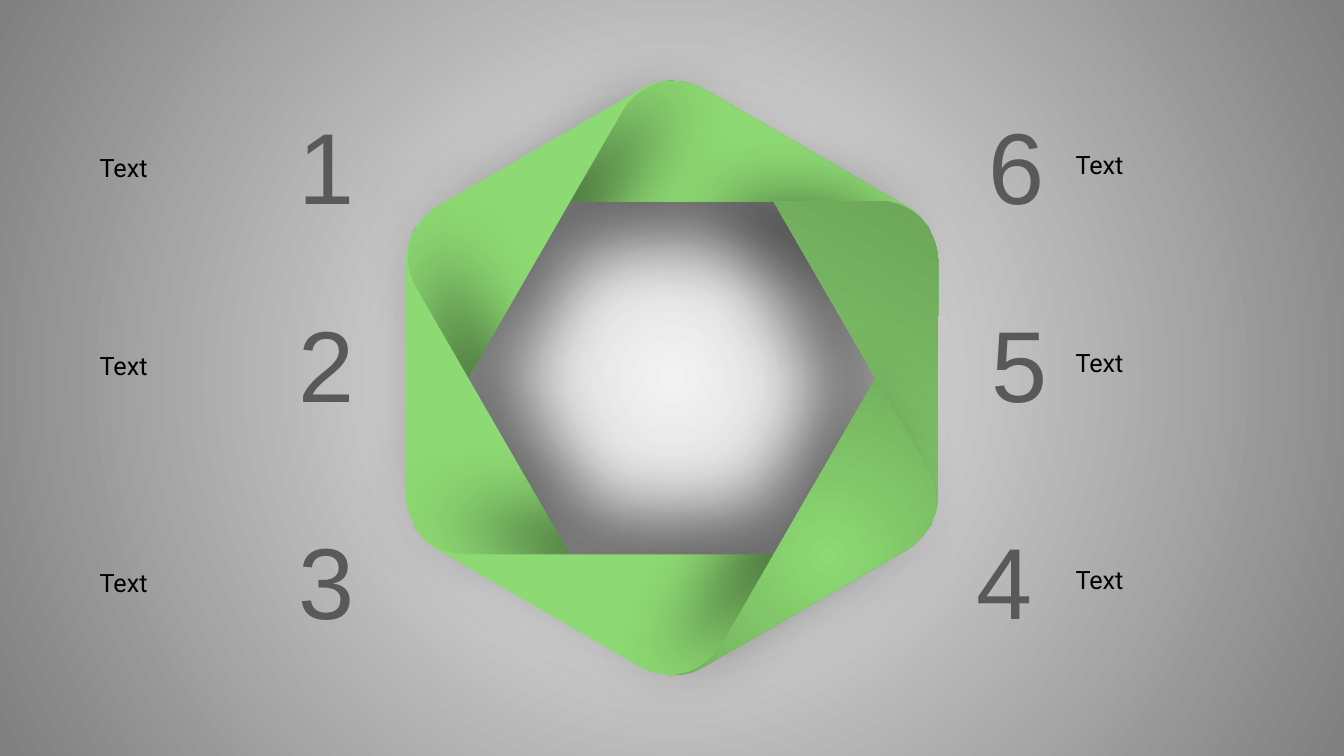
from math import cos, sin, radians

from lxml import etree
from pptx import Presentation
from pptx.dml.color import RGBColor as RGB
from pptx.enum.text import MSO_AUTO_SIZE as Fit
from pptx.oxml.ns import qn
from pptx.util import Inches, Pt

LIME = RGB(0x8D, 0xD9, 0x73)
MOSS = RGB(0x71, 0xAE, 0x5C)
LEAF = RGB(0x8C, 0xD3, 0x74)
PINE = RGB(0x64, 0x99, 0x51)
FERN = RGB(0x6B, 0xA5, 0x57)
TEAL = RGB(0x15, 0x60, 0x82)
PALE = RGB(0xF2, 0xF2, 0xF2)
GRAY = RGB(0x80, 0x80, 0x80)
DARK = RGB(0x59, 0x59, 0x59)
BLACK = RGB(0, 0, 0)

TILT = 300  # turn of every blade's own frame, in degrees

# Top blade around the hub, in 1/750 of the slide's height:
# two numbers are a line to a point, six are a curve
BLADE = [
    (-3, -295), (9, -294), (16, -293, 24, -291, 31, -287),
    (233, -170), (240, -166, 246, -161, 250, -155),
    (253, -150), (247, -158), (236, -168, 221, -175, 205, -175),
    (-101, -175), (-49, -266), (-41, -280, -28, -289, -14, -293),
]
# Two thin slivers at the tip of each blade
TIPS = [[(x, -295), (x + 3, -295), (x + 1.5, -295.2)] for x in (-3, 0)]


def turn(x, y, deg):
    c, s = cos(radians(deg)), sin(radians(deg))
    return x * c - y * s, x * s + y * c


def trace(steps, count=12):
    """Turn lines and curves into a list of points."""
    pts = []
    for step in steps:
        if len(step) == 2:
            pts.append(step)
            continue
        ctrl = [pts[-1], step[:2], step[2:4], step[4:]]
        for i in range(1, count + 1):
            t = i / count
            w = ((1 - t) ** 3, 3 * t * (1 - t) ** 2, 3 * t * t * (1 - t), t ** 3)
            pts.append(tuple(sum(k * p[n] for k, p in zip(w, ctrl)) for n in (0, 1)))
    return pts


class Deck:
    def __init__(self):
        self.prs = Presentation()
        self.prs.slide_width, self.prs.slide_height = Inches(40 / 3), Inches(7.5)
        self.wide, self.high = self.prs.slide_width, self.prs.slide_height
        self.slide = self.prs.slides.add_slide(self.prs.slide_layouts[6])
        self.shapes = self.slide.shapes

    def blend(self, root, stops, angle=None):
        """Swap the solid fill for a linear or, with no angle, a round gradient."""
        grad = etree.Element(qn("a:gradFill"), rotWithShape="1")
        row = etree.SubElement(grad, qn("a:gsLst"))
        for at, color in stops:
            stop = etree.SubElement(row, qn("a:gs"), pos=str(at * 1000))
            etree.SubElement(stop, qn("a:srgbClr"), val=str(color))
        if angle is None:
            ring = etree.SubElement(grad, qn("a:path"), path="circle")
            etree.SubElement(ring, qn("a:fillToRect"),
                             **dict.fromkeys("ltrb", "50000"))
        else:
            etree.SubElement(grad, qn("a:lin"), ang=str(angle * 60000), scaled="0")
        solid = root.find(".//" + qn("a:solidFill"))
        solid.getparent().replace(solid, grad)

    def back(self, stops):
        fill = self.slide.background.fill
        fill.solid()
        fill.fore_color.rgb = PALE
        self.blend(self.slide.element, stops)

    def shade(self, shape, angle, dist):
        box = shape.element.spPr.find(qn("a:effectLst"))
        cast = etree.SubElement(
            box, qn("a:outerShdw"), blurRad=str(Pt(50)), dist=str(Pt(dist)),
            dir=str(angle * 60000), algn="ctr", rotWithShape="0")
        tint = etree.SubElement(cast, qn("a:srgbClr"), val=str(BLACK))
        etree.SubElement(tint, qn("a:alpha"), val="50000")

    def patch(self, steps, spin, color):
        """Draw an outline turned around the hub, in a tilted frame."""
        unit, cx, cy = self.high / 750, self.wide / 2, self.high / 2
        pts = []
        for x, y in trace(steps):
            px, py = turn(x * unit, y * unit, spin - TILT)
            pts.append((round(cx + px), round(cy + py)))
        pen = self.shapes.build_freeform(*pts[0])
        pen.add_line_segments(pts[1:], close=True)
        shape = pen.convert_to_shape()
        # Carry the box to its place around the hub
        mx = shape.left + shape.width / 2 - cx
        my = shape.top + shape.height / 2 - cy
        nx, ny = turn(mx, my, TILT)
        shape.left += round(nx - mx)
        shape.top += round(ny - my)
        shape.rotation = TILT
        shape.fill.solid()
        shape.fill.fore_color.rgb = color
        shape.line.fill.background()
        shape.shadow.inherit = False
        return shape

    def blade(self, spin, cast, dist=30, stops=None, angle=None):
        shape = self.patch(BLADE, spin, LIME)
        if stops:
            self.blend(shape.element, stops, angle)
        self.shade(shape, cast, dist)
        return shape

    def tip(self, steps, spin):
        shape = self.patch(steps, spin, TEAL)
        tint = shape.element.spPr.find(".//" + qn("a:srgbClr"))
        etree.SubElement(tint, qn("a:alpha"), val="40000")
        return shape

    def text(self, words, x, y, w, h, size, font, color):
        """Place a text box; x, y, w and h are percent of the slide."""
        box = self.shapes.add_textbox(
            round(self.wide * x / 100), round(self.high * y / 100),
            round(self.wide * w / 100), round(self.high * h / 100))
        frame = box.text_frame
        frame.word_wrap = True
        frame.auto_size = Fit.SHAPE_TO_FIT_TEXT
        frame.text = words
        face = frame.paragraphs[0].runs[0].font
        face.size, face.name, face.color.rgb = Pt(size), font, color

    def digit(self, mark, x, y):
        self.text(mark, x, y, 4.73, 17.47, 72, "Arial", DARK)

    def label(self, x, y):
        self.text("Text", x, y, 13.88, 5.33, 18, "Roboto", BLACK)


def main():
    deck = Deck()
    deck.back([(0, PALE), (99, GRAY)])

    # Six blades, from back to front, then their tips
    ring = [
        deck.blade(0, 90, stops=[(0, MOSS), (23, LIME)], angle=10),
        deck.blade(-60, 0),
        deck.blade(-120, 315),
        deck.blade(60, 180, 40, [(0, LEAF), (100, PINE)], 0),
        deck.blade(180, 270),
        deck.blade(120, 180, stops=[(0, LIME), (99, FERN)]),
    ]
    ring += [deck.tip(steps, spin) for spin in range(0, 360, 60) for steps in TIPS]
    deck.shapes.add_group_shape(ring)

    # Numbers and labels, one row per pair
    rows = [("1", "6", 13.07, 72.84), ("2", "5", 39.28, 73.03),
            ("3", "4", 67.95, 71.94)]
    for left, right, y, x in rows:
        deck.digit(left, 21.48, y)
        deck.digit(right, x, y)
        deck.label(6.68, y + 6.4)
        deck.label(79.29, y + 6)

    deck.prs.save("out.pptx")


if __name__ == "__main__":
    main()
